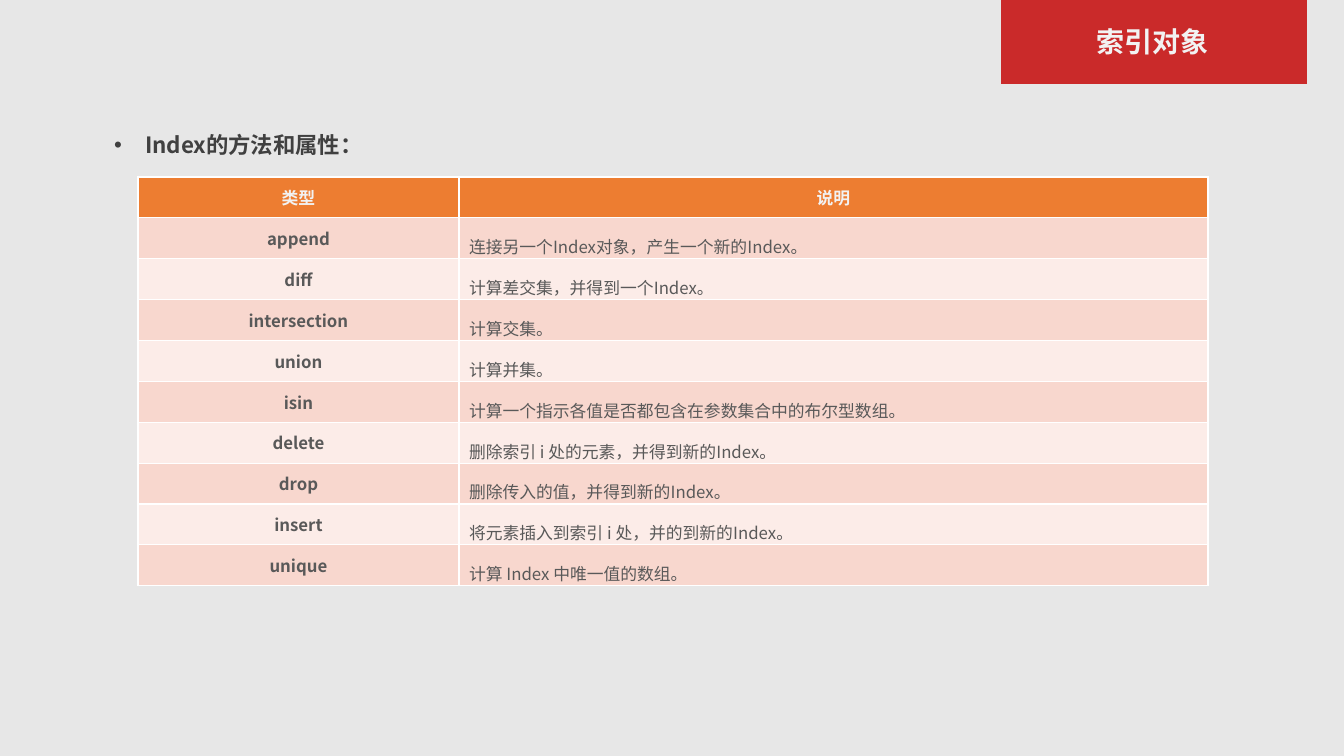
"""Build the slide on the methods and properties of Index."""
from lxml import etree
from pptx import Presentation
from pptx.dml.color import RGBColor
from pptx.enum.shapes import MSO_SHAPE
from pptx.enum.text import MSO_ANCHOR, MSO_AUTO_SIZE, PP_ALIGN
from pptx.oxml.ns import qn
from pptx.util import Emu, Pt

TITLE = "索引对象"
HEADING = "Index的方法和属性："
ROWS = [
    ("类型", "说明"),
    ("append", "连接另一个Index对象，产生一个新的Index。"),
    ("diff", "计算差交集，并得到一个Index。"),
    ("intersection", "计算交集。"),
    ("union", "计算并集。"),
    ("isin", "计算一个指示各值是否都包含在参数集合中的布尔型数组。"),
    ("delete", "删除索引 i 处的元素，并得到新的Index。"),
    ("drop", "删除传入的值，并得到新的Index。"),
    ("insert", "将元素插入到索引 i 处，并的到新的Index。"),
    ("unique", "计算 Index 中唯一值的数组。"),
]

PAGE_SIZE = (1344, 756)
BANNER_BOX = (1001, 0, 306, 84)
TITLE_BOX = (1002, 22, 302, 42)
HEADING_BOX = (104, 113, 1188, 46)
TABLE_BOX = (138, 177, 1070, 409)
COLUMN_WIDTHS = (321, 749)
BULLET_INDENT = 31
NOTE_MARGINS = {"margin_top": 4, "margin_bottom": 0}

FONT = "Noto Sans CJK SC"
BACKGROUND = RGBColor(0xE7, 0xE7, 0xE7)
RED = RGBColor(0xCA, 0x2A, 0x2A)
ORANGE = RGBColor(0xED, 0x7D, 0x31)
BANDS = (RGBColor(0xFC, 0xEC, 0xE8), RGBColor(0xF8, 0xD7, 0xCE))
PALE = RGBColor(0xF2, 0xF2, 0xF2)
DARK = RGBColor(0x40, 0x40, 0x40)
GREY = RGBColor(0x59, 0x59, 0x59)

RECTANGLE = MSO_SHAPE.RECTANGLE
MIDDLE, TOP = MSO_ANCHOR.MIDDLE, MSO_ANCHOR.TOP
CENTER, LEFT = PP_ALIGN.CENTER, PP_ALIGN.LEFT
NO_AUTOFIT = MSO_AUTO_SIZE.NONE

TITLE_FORMAT = {"size": 20, "color": PALE, "bold": True, "alignment": CENTER, "line_spacing": 0.9}
HEADING_FORMAT = {"size": 16, "color": DARK, "bold": True, "alignment": LEFT, "line_spacing": 1.5}
HEADER_FORMAT = {"size": 12, "color": PALE, "bold": True, "alignment": CENTER, "line_spacing": 1.0}
NAME_FORMAT = HEADER_FORMAT | {"color": GREY}
NOTE_FORMAT = {"size": 12, "color": GREY, "bold": False, "alignment": LEFT, "line_spacing": 1.5}


def px(length):
    """Turn pixels into EMU."""
    return Emu(round(length * 914400 / 100.8))


def write(frame, text, style):
    """Put one formatted paragraph into a text frame and return it."""
    para = frame.paragraphs[0]
    span = para.add_run()
    span.text = text
    for name in ("alignment", "line_spacing"):
        setattr(para, name, style[name])
    para.space_before = Pt(0)
    for name, value in {"name": FONT, "size": Pt(style["size"]), "bold": style["bold"]}.items():
        setattr(span.font, name, value)
    span.font.color.rgb = style["color"]
    etree.SubElement(span.font._element, qn("a:ea"), typeface=FONT)
    return para


def fill_placeholder(box, bounds, anchor, text, style):
    """Place and fill a template placeholder and return its paragraph."""
    for name, value in zip(("left", "top", "width", "height"), bounds):
        setattr(box, name, px(value))
    frame = box.text_frame
    for name, value in {"word_wrap": True, "auto_size": NO_AUTOFIT, "vertical_anchor": anchor}.items():
        setattr(frame, name, value)
    return write(frame, text, style)


def add_method_table(page):
    """Add the table of methods."""
    table = page.shapes.add_table(len(ROWS), len(COLUMN_WIDTHS), *map(px, TABLE_BOX)).table
    for column, width in zip(table.columns, COLUMN_WIDTHS):
        column.width = px(width)
    for i, texts in enumerate(ROWS):
        table.rows[i].height = px(TABLE_BOX[3] / len(ROWS))
        styles = (NAME_FORMAT, NOTE_FORMAT) if i else (HEADER_FORMAT, HEADER_FORMAT)
        for j, (text, style) in enumerate(zip(texts, styles)):
            cell = table.cell(i, j)
            cell.vertical_anchor = MIDDLE
            cell.fill.solid()
            cell.fill.fore_color.rgb = BANDS[i % 2] if i else ORANGE
            if style is NOTE_FORMAT:
                for name, value in NOTE_MARGINS.items():
                    setattr(cell, name, px(value))
            write(cell.text_frame, text, style)


def main():
    """Build and save the deck."""
    deck = Presentation()
    deck.slide_width, deck.slide_height = map(px, PAGE_SIZE)
    page = deck.slides.add_slide(deck.slide_layouts[1])
    page.background.fill.solid()
    page.background.fill.fore_color.rgb = BACKGROUND

    banner = page.shapes.add_shape(RECTANGLE, *map(px, BANNER_BOX))
    banner.shadow.inherit = False
    banner.fill.solid()
    banner.fill.fore_color.rgb = RED
    banner.line.fill.background()
    page.shapes._spTree.insert(2, banner._element)

    fill_placeholder(page.shapes.title, TITLE_BOX, MIDDLE, TITLE, TITLE_FORMAT)
    heading = fill_placeholder(page.placeholders[1], HEADING_BOX, TOP, HEADING, HEADING_FORMAT)
    properties = heading._p.get_or_add_pPr()
    properties.set("marL", str(px(BULLET_INDENT)))
    properties.set("indent", str(px(-BULLET_INDENT)))

    add_method_table(page)
    deck.save("out.pptx")


if __name__ == "__main__":
    main()
